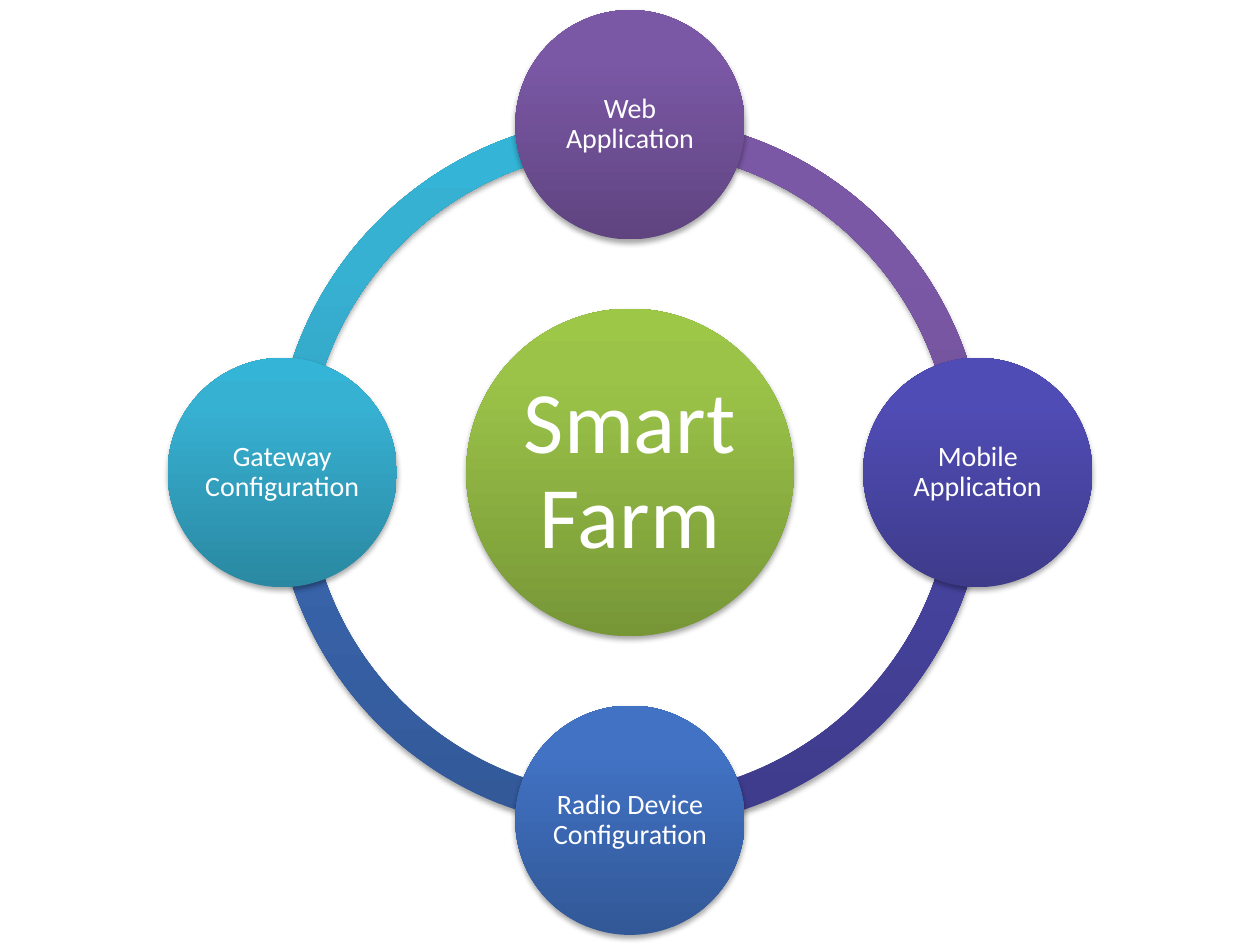
import math
import pptx
import pptx.dml.color
import pptx.enum.shapes
import pptx.enum.text
import pptx.oxml
import pptx.oxml.ns
import pptx.util
from pptx.util import Inches

# Gradient stops at 0, 80 and 100 percent
COLORS = {
    "green": ("779737", "9BC348", "9DC746"),
    "purple": ("5F4480", "7B58A6", "7C57A8"),
    "indigo": ("3E3B8B", "504CB5", "4F4BB8"),
    "blue": ("325897", "4172C4", "3F72C7"),
    "teal": ("2A88A2", "37B1D2", "34B4D6"),
    "text": "FFFFFF",
    "shadow": "000000",
}
MSO_SHAPE = pptx.enum.shapes.MSO_SHAPE
NS = pptx.oxml.ns.nsdecls("a")
CX, CY = 5, 3.75
ORBIT = 2.76
RING, HUB, NODE = 5.65, 2.6, 1.82

prs = pptx.Presentation()
prs.slide_width, prs.slide_height = Inches(10), Inches(7.5)
s = prs.slides.add_slide(prs.slide_layouts[6])


def add_round(kind, cx, cy, size, color):
    """Add a centred shape with a vertical gradient and a soft shadow."""
    sp = s.shapes.add_shape(kind, Inches(cx - size / 2), Inches(cy - size / 2),
                            Inches(size), Inches(size))
    sp.line.fill.background()
    sp.shadow.inherit = False
    stops = "".join(f'<a:gs pos="{pos}"><a:srgbClr val="{val}"/></a:gs>'
                    for pos, val in zip((0, 80000, 100000), COLORS[color]))
    spPr = sp._element.spPr
    spPr.find(pptx.oxml.ns.qn("a:ln")).addprevious(pptx.oxml.parse_xml(
        f'<a:gradFill {NS} rotWithShape="1"><a:gsLst>{stops}</a:gsLst>'
        '<a:lin ang="16200000" scaled="0"/></a:gradFill>'))
    spPr.find(pptx.oxml.ns.qn("a:effectLst")).append(pptx.oxml.parse_xml(
        f'<a:outerShdw {NS} blurRad="40000" dist="23000" dir="5400000" rotWithShape="0">'
        f'<a:srgbClr val="{COLORS["shadow"]}"><a:alpha val="35000"/></a:srgbClr>'
        '</a:outerShdw>'))
    return sp


def add_label(sp, text, size, inset):
    tf = sp.text_frame
    tf.word_wrap = True
    tf.vertical_anchor = pptx.enum.text.MSO_ANCHOR.MIDDLE
    tf.margin_left = tf.margin_right = tf.margin_top = tf.margin_bottom = Inches(inset)
    p = tf.paragraphs[0]
    p.alignment = pptx.enum.text.PP_ALIGN.CENTER
    p.line_spacing = 0.9
    p._p.get_or_add_pPr().append(pptx.oxml.parse_xml(
        f'<a:spcAft {NS}><a:spcPct val="35000"/></a:spcAft>'))
    r = p.add_run()
    r.text = text
    r.font.size = pptx.util.Pt(size)
    r.font.name = "Calibri"
    r.font.color.rgb = pptx.dml.color.RGBColor.from_string(COLORS["text"])


# Nodes clockwise from the top: label, colour, angle in degrees
nodes = [
    ("Web Application", "purple", 270),
    ("Mobile Application", "indigo", 0),
    ("Radio Device Configuration", "blue", 90),
    ("Gateway Configuration", "teal", 180),
]

# Ring: a quarter arc from each node to the next (0.6 units per degree)
for label, color, angle in reversed(nodes):
    arc = add_round(MSO_SHAPE.BLOCK_ARC, CX, CY, RING, color)
    arc.adjustments[0] = angle * 0.6
    arc.adjustments[1] = (angle + 90) % 360 * 0.6
    arc.adjustments[2] = 0.046

# Hub
add_label(add_round(MSO_SHAPE.OVAL, CX, CY, HUB, "green"), "Smart Farm", 50, 0.07)

# Nodes on the ring
for label, color, angle in nodes:
    a = math.radians(angle)
    node = add_round(MSO_SHAPE.OVAL, CX + ORBIT * math.cos(a), CY + ORBIT * math.sin(a),
                     NODE, color)
    add_label(node, label, 16, 0.02)

prs.save("out.pptx")
